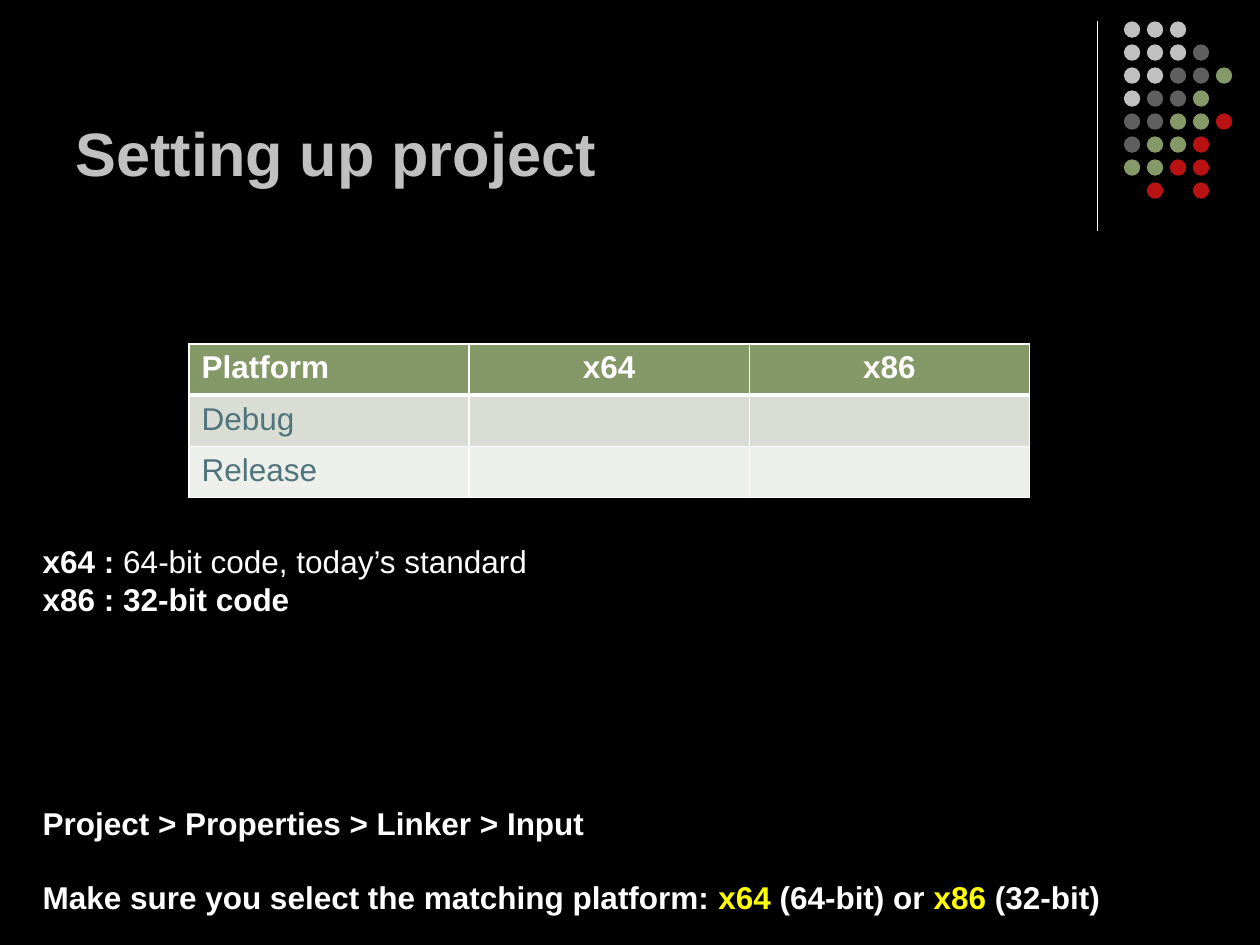
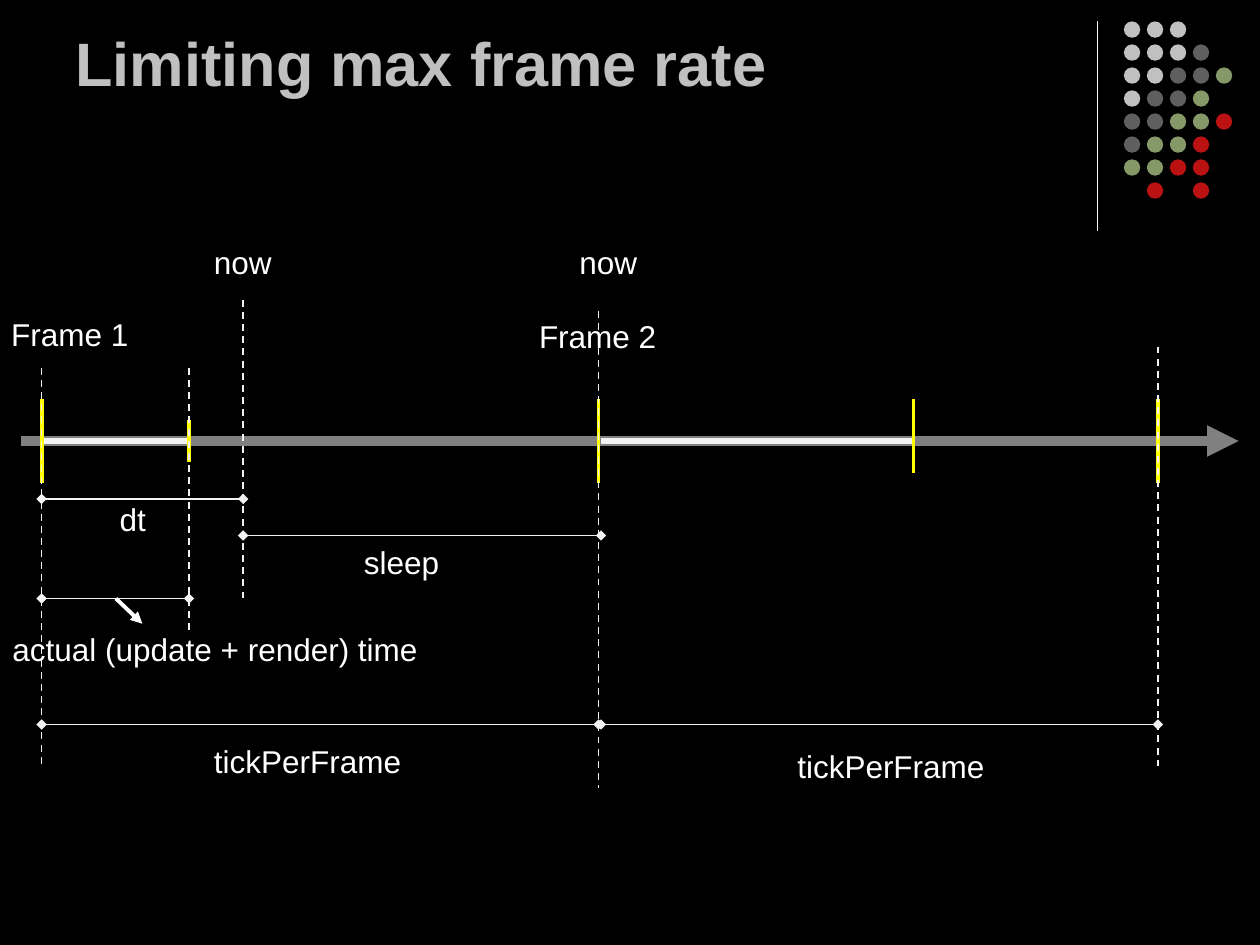
from lxml.etree import SubElement
from pptx import Presentation
from pptx.dml.color import RGBColor
from pptx.enum.dml import MSO_LINE
from pptx.enum.shapes import MSO_CONNECTOR as CONNECTOR, MSO_SHAPE as SHAPE
from pptx.enum.text import MSO_ANCHOR as ANCHOR, MSO_AUTO_SIZE as AUTO_SIZE, PP_ALIGN as ALIGN
from pptx.oxml import parse_xml
from pptx.oxml.ns import nsdecls, qn
from pptx.util import Inches, Pt

# Shared look
FONT = "Arial"
BODY_SIZE, TITLE_SIZE = 18, 35
BLACK = RGBColor(0x00, 0x00, 0x00)
WHITE = RGBColor(0xFF, 0xFF, 0xFF)
OFF_WHITE = RGBColor(0xF2, 0xF2, 0xF2)
SILVER = RGBColor(0xC0, 0xC0, 0xC0)
GRAY = RGBColor(0x80, 0x80, 0x80)
DARK_GRAY = RGBColor(0x5F, 0x5F, 0x5F)
GREEN = RGBColor(0x85, 0x98, 0x68)
RED = RGBColor(0xBA, 0x12, 0x12)
YELLOW = RGBColor(0xFF, 0xFF, 0x00)
TEAL = RGBColor(0x4F, 0x74, 0x7B)
BAND_DARK = RGBColor(0xD9, 0xDD, 0xD4)
BAND_LIGHT = RGBColor(0xED, 0xEF, 0xEB)

# Dot ornament: one letter per dot, a space where there is none
DOT_ROWS = ["SSS", "SSSD", "SSDDG", "SDDG", "DDGGR", "DGGR", "GGRR", " R R"]
DOT_COLORS = {"S": SILVER, "D": DARK_GRAY, "G": GREEN, "R": RED}
DOT_LEFT, DOT_TOP, DOT_SIZE, DOT_PITCH = 8.92, 0.17, 0.13, 0.73 / 4

# Slide 1: each paragraph is a list of (text, bold, color)
PLATFORM_ROWS = [("Platform", "x64", "x86"), ("Debug", "", ""), ("Release", "", "")]
ROW_FILLS = [GREEN, BAND_DARK, BAND_LIGHT]
PLATFORM_NOTES = [
    [("x64 : ", True, WHITE), ("64-bit code, today’s standard", False, WHITE)],
    [("x86 : 32-bit code", True, WHITE)],
]
LINKER_NOTES = [
    [("Project > Properties > Linker > Input", True, WHITE)],
    [
        ("Make sure you select the matching platform: ", True, WHITE),
        ("x64", True, YELLOW),
        (" (64-bit) or ", True, WHITE),
        ("x86", True, YELLOW),
        (" (32-bit)", True, WHITE),
    ],
]

# Slide 2: moments on the time axis, in inches from the left
FRAME_1, WORK_END, NOW, FRAME_2, WORK_2_END, FRAME_3 = 0.33, 1.5, 1.93, 4.75, 7.25, 9.19
FRAME_2_START = 4.77
AXIS_Y = 3.5
WORK_BARS = [(FRAME_1, WORK_END), (FRAME_2_START, WORK_2_END)]
TICKS = [  # x, top, bottom
    (FRAME_1, 3.17, 3.83),
    (WORK_END, 3.33, 3.67),
    (FRAME_2, 3.17, 3.83),
    (WORK_2_END, 3.17, 3.75),
    (FRAME_3, 3.17, 3.83),
]
GUIDES = [  # x, top, bottom
    (FRAME_1, 2.92, 6.08),
    (WORK_END, 2.92, 5),
    (NOW, 2.38, 4.76),
    (FRAME_2, 2.47, 6.25),
    (FRAME_3, 2.75, 6.08),
]
SPANS = [  # start, end, y
    (FRAME_1, NOW, 3.96),
    (NOW, FRAME_2_START, 4.25),
    (FRAME_1, WORK_END, 4.75),
    (FRAME_1, FRAME_2, 5.75),
    (FRAME_2_START, FRAME_3, 5.75),
]
LABELS = [  # text, left, top, width
    ("now", 1.6, 1.88, 0.66),
    ("now", 4.5, 1.88, 0.66),
    ("Frame 1", -0.01, 2.45, 1.14),
    ("Frame 2", 4.18, 2.47, 1.14),
    ("dt", 0.85, 3.92, 0.41),
    ("sleep", 2.79, 4.26, 0.8),
    ("actual (update + render) time", 0, 4.95, 3.45),
    ("tickPerFrame", 1.6, 5.84, 1.7),
    ("tickPerFrame", 6.23, 5.88, 1.7),
]


def add_run(paragraph, text, size=BODY_SIZE, bold=False, color=WHITE):
    run = paragraph.add_run()
    run.text = text
    run.font.name = FONT
    run.font.size = Pt(size)
    run.font.bold = bold
    run.font.color.rgb = color


def add_text(slide, box, paragraphs, size=BODY_SIZE, wrap=True, anchor=ANCHOR.TOP, gap=0):
    frame = slide.shapes.add_textbox(*map(Inches, box)).text_frame
    frame.word_wrap = wrap
    frame.auto_size = AUTO_SIZE.NONE if wrap else AUTO_SIZE.SHAPE_TO_FIT_TEXT
    frame.vertical_anchor = anchor
    for index, runs in enumerate(paragraphs):
        paragraph = frame.add_paragraph() if index else frame.paragraphs[0]
        if index and gap:
            paragraph.space_before = Pt(gap)
        for text, bold, color in runs:
            add_run(paragraph, text, size, bold, color)


def add_line(slide, start, end, color, width, dash=None, head=None, tail=None):
    points = map(Inches, (*start, *end))
    connector = slide.shapes.add_connector(CONNECTOR.STRAIGHT, *points)
    connector.line.color.rgb = color
    connector.line.width = Pt(width)
    if dash:
        connector.line.dash_style = dash
    properties = connector.element.spPr
    outline = properties.find(qn("a:ln"))
    for tag, kind in (("a:headEnd", head), ("a:tailEnd", tail)):
        if kind:
            SubElement(outline, qn(tag), type=kind)
    SubElement(properties, qn("a:effectLst"))


def add_dots(slide):
    group = slide.shapes.add_group_shape()
    for row, letters in enumerate(DOT_ROWS):
        for column, letter in enumerate(letters):
            if letter == " ":
                continue
            left = Inches(DOT_LEFT + column * DOT_PITCH)
            top = Inches(DOT_TOP + row * DOT_PITCH)
            dot = group.shapes.add_shape(SHAPE.OVAL, left, top, Inches(DOT_SIZE), Inches(DOT_SIZE))
            dot.shadow.inherit = False
            dot.fill.solid()
            dot.fill.fore_color.rgb = DOT_COLORS[letter]
            dot.line.fill.background()


def add_slide(presentation, title, title_height):
    slide = presentation.slides.add_slide(presentation.slide_layouts[6])
    add_line(slide, (8.71, 0.17), (8.71, 1.83), WHITE, 0.75)
    add_dots(slide)
    box = (0.5, 0.13, 8.25, title_height)
    add_text(slide, box, [[(title, True, SILVER)]], TITLE_SIZE, anchor=ANCHOR.BOTTOM)
    return slide


def set_borders(cell_element, widths):
    for index, (side, width) in enumerate(widths.items()):
        border = parse_xml(
            f'<a:{side} {nsdecls("a")} w="{Pt(width)}"><a:solidFill>'
            f'<a:srgbClr val="{WHITE}"/></a:solidFill></a:{side}>'
        )
        cell_element.tcPr.insert(index, border)


def add_platform_table(slide):
    box = map(Inches, (1.5, 2.73, 6.67, 1.22))
    graphic_frame = slide.shapes.add_table(len(PLATFORM_ROWS), len(PLATFORM_ROWS[0]), *box)
    table = graphic_frame.table
    table.first_row = table.horz_banding = False
    for row, texts in enumerate(PLATFORM_ROWS):
        is_header = row == 0
        for column, text in enumerate(texts):
            cell = table.cell(row, column)
            cell.fill.solid()
            cell.fill.fore_color.rgb = ROW_FILLS[row]
            paragraph = cell.text_frame.paragraphs[0]
            paragraph.font.size = Pt(BODY_SIZE)
            if column:
                paragraph.alignment = ALIGN.CENTER
            if text:
                add_run(paragraph, text, bold=is_header, color=WHITE if is_header else TEAL)
    # The rule under the header is heavier
    for index, cell_element in enumerate(graphic_frame.element.iter(qn("a:tc"))):
        row = index // len(PLATFORM_ROWS[0])
        top, bottom = (3 if row == 1 else 1), (3 if row == 0 else 1)
        set_borders(cell_element, {"lnL": 1, "lnR": 1, "lnT": top, "lnB": bottom})


def build_project_slide(presentation):
    slide = add_slide(presentation, "Setting up project", 1.42)
    add_platform_table(slide)
    add_text(slide, (0.24, 4.25, 9.51, 0.71), PLATFORM_NOTES)
    add_text(slide, (0.24, 6.33, 9.51, 1.01), LINKER_NOTES, gap=20.7)


def build_frame_rate_slide(presentation):
    slide = add_slide(presentation, "Limiting max frame rate", 0.7)
    # Time axis with the working part of each frame
    add_line(slide, (0.17, AXIS_Y), (9.83, AXIS_Y), GRAY, 6, tail="triangle")
    for start, end in WORK_BARS:
        add_line(slide, (start, AXIS_Y), (end, AXIS_Y), OFF_WHITE, 3)
    for x, top, bottom in TICKS:
        add_line(slide, (x, top), (x, bottom), YELLOW, 2.25)
    for x, top, bottom in GUIDES:
        add_line(slide, (x, top), (x, bottom), OFF_WHITE, 1, dash=MSO_LINE.DASH)
    # Durations and their labels
    for start, end, y in SPANS:
        add_line(slide, (start, y), (end, y), OFF_WHITE, 1, head="diamond", tail="diamond")
    add_line(slide, (0.92, 4.75), (1.13, 4.95), WHITE, 2.25, tail="triangle")
    for text, left, top, width in LABELS:
        add_text(slide, (left, top, width, 0.4), [[(text, False, WHITE)]], wrap=False)


def main():
    presentation = Presentation()
    presentation.slide_width, presentation.slide_height = Inches(10), Inches(7.5)
    background = presentation.slide_master.background.fill
    background.solid()
    background.fore_color.rgb = BLACK
    build_project_slide(presentation)
    build_frame_rate_slide(presentation)
    presentation.save("out.pptx")


if __name__ == "__main__":
    main()
